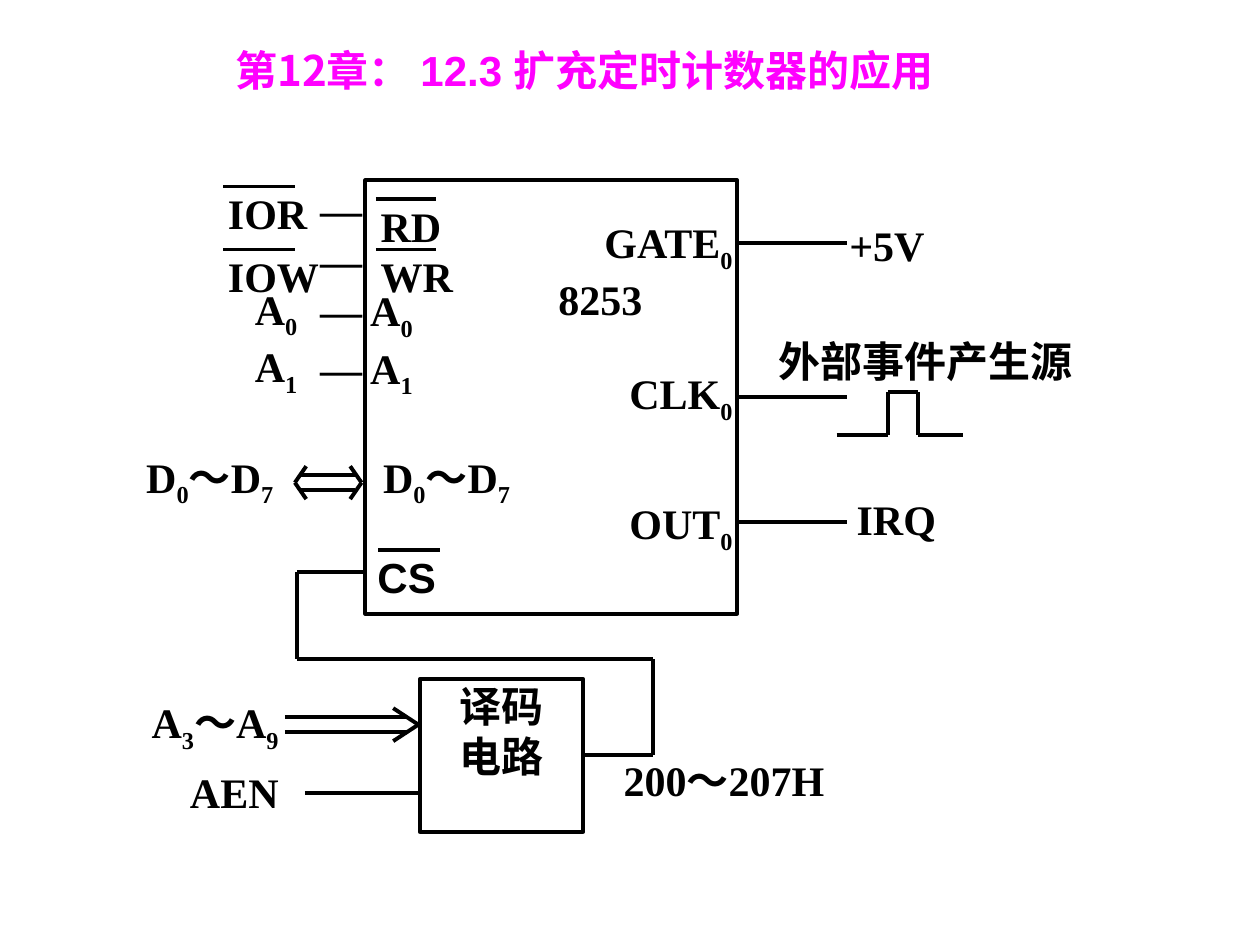
from dataclasses import dataclass
from itertools import pairwise

from lxml import etree
from pptx import Presentation
from pptx.dml.color import RGBColor
from pptx.enum.shapes import MSO_CONNECTOR, MSO_SHAPE
from pptx.enum.text import MSO_ANCHOR, PP_ALIGN
from pptx.oxml.ns import qn
from pptx.util import Pt

LINE = MSO_CONNECTOR.STRAIGHT
RECT = MSO_SHAPE.RECTANGLE
TOP, MIDDLE = MSO_ANCHOR.TOP, MSO_ANCHOR.MIDDLE
LEFT, CENTER, RIGHT = PP_ALIGN.LEFT, PP_ALIGN.CENTER, PP_ALIGN.RIGHT
JUSTIFY = PP_ALIGN.JUSTIFY
LEFT_SIDE, RIGHT_SIDE = 1, 3


@dataclass(frozen=True)
class Theme:
    ink: RGBColor = RGBColor(0, 0, 0)
    title: RGBColor = RGBColor(0xFF, 0, 0xFF)
    serif: str = "Times New Roman"
    sans: str = "Arial"
    cjk: str = "Noto Sans CJK JP"
    size: float = 24
    line: float = 2.25
    inset: float = 0.72
    row: float = 36


T = Theme()


def add_run(para, text, font, color, sub=False):
    run = para.add_run()
    run.text = text
    run.font.size, run.font.bold = Pt(T.size), True
    run.font.name = font
    run.font.color.rgb = color
    props = run._r.get_or_add_rPr()
    etree.SubElement(props, qn("a:ea")).set("typeface", T.cjk)
    if sub:
        props.set("baseline", "-25000")


def fill_text(shape, lines, align, font=T.serif):
    """Write lines; the character after each underscore is a subscript."""
    frame = shape.text_frame
    frame.word_wrap = True
    frame.vertical_anchor = TOP
    frame.margin_left = frame.margin_right = Pt(T.inset)
    frame.margin_top = frame.margin_bottom = Pt(T.inset)
    for i, line in enumerate(lines):
        para = frame.add_paragraph() if i else frame.paragraphs[0]
        para.alignment = align
        first, *rest = line.split("_")
        add_run(para, first, font, T.ink)
        for part in rest:
            add_run(para, part[0], font, T.ink, sub=True)
            if part[1:]:
                add_run(para, part[1:], font, T.ink)


def label(slide, x, y, w, text, align=LEFT, font=T.serif):
    lines = text.split("\n")
    box = slide.shapes.add_textbox(Pt(x), Pt(y), Pt(w), Pt(T.row * len(lines)))
    fill_text(box, lines, align, font)


def draw(slide, *points):
    """Draw straight lines through the points and return the last one."""
    for (x1, y1), (x2, y2) in pairwise(points):
        line = slide.shapes.add_connector(LINE, Pt(x1), Pt(y1), Pt(x2), Pt(y2))
        line.line.color.rgb, line.line.width = T.ink, Pt(T.line)
        etree.SubElement(line._element.spPr, qn("a:effectLst"))
    return line


def block(slide, box):
    rect = slide.shapes.add_shape(RECT, *map(Pt, box))
    rect.shadow.inherit = False
    rect.fill.background()
    rect.line.color.rgb, rect.line.width = T.ink, Pt(T.line)
    return rect


def barred(slide, x, y, text, length, lead=-2, font=T.serif):
    """Place a name of an active-low signal under its overline."""
    label(slide, x, y, 72, text, font=font)
    draw(slide, (x + lead, y), (x + lead + length, y))


def head(slide, x, y, depth):
    """Draw an open arrowhead with its tip at x, y."""
    draw(slide, (x - depth, y - 9.4), (x, y), (x - depth, y + 9.4))


def rails(slide, x1, x2, y):
    for dy in (-4.2, 4.2):
        draw(slide, (x1, y + dy), (x2, y + dy))


def title(slide, box):
    shape = slide.shapes.add_textbox(*map(Pt, box))
    frame = shape.text_frame
    frame.word_wrap = True
    frame.vertical_anchor = MIDDLE
    para = frame.paragraphs[0]
    para.alignment = JUSTIFY
    add_run(para, "第12章： ", T.cjk, T.title)
    add_run(para, "12.3 扩充定时计数器的应用", T.sans, T.title)


def chip(slide, box):
    x, y, w, h = box
    rect = block(slide, box)
    label(slide, x + 81.4, y + 52.6, 105.8, "8253", CENTER)
    for name, dy in (("GATE_0", 20.2), ("CLK_0", 106.6), ("OUT_0", 180.7)):
        label(slide, x + 85, y + dy, 125.5, name, RIGHT)
    label(slide, x - 26.6, y + 1.4, 126.7, "—\n—\n— A_0\n— A_1")
    barred(slide, x + 8, y + 10.8, "RD", 34.5)
    barred(slide, x + 8, y + 39.6, "WR", 34.5)
    label(slide, x + 9.4, y + 154.1, 144.7, "D_0～D_7")
    barred(slide, x + 6.2, y + 211.2, "CS", 35.3, lead=1, font=T.sans)
    return rect


def inputs(slide, box):
    """Place the bus signals on the left of the chip box."""
    x, y, w, h = box
    barred(slide, x - 79.2, y + 3.6, "IOR", 41)
    barred(slide, x - 79.2, y + 39.6, "IOW", 41)
    label(slide, x - 92.9, y + 58.3, 54.7, "A_0\nA_1", RIGHT)
    label(slide, x - 161.3, y + 154.1, 144.7, "D_0～D_7", CENTER)
    mid = y + 172.8
    head(slide, x - 2.2, mid, 6.5)
    head(slide, x - 40.3, mid, -6.5)
    rails(slide, x - 37.5, x - 5.8, mid)


def outputs(slide, box, rect):
    """Place the signals and the pulse on the right of the chip box."""
    x, y, w, h = box
    edge, end = x + w, x + w + 62.6
    for dy in (36, 195.1):
        draw(slide, (edge, y + dy), (end, y + dy))
    clock = draw(slide, (edge, y + h / 2), (end, y + h / 2))
    clock.begin_connect(rect, RIGHT_SIDE)
    label(slide, x + 275.8, y + 21.6, 80.6, "+5V")
    label(slide, x + 224, y + 87.8, 192.2, "外部事件产生源", CENTER)
    label(slide, x + 280, y + 178.6, 96.5, "IRQ")
    low, high = y + 145.4, y + 121
    rise, fall = x + 298.8, x + 315.6
    draw(slide, (x + 269.3, low), (rise, low), (rise, high),
         (fall, high), (fall, low), (x + 341.3, low))


def decoder(slide, box):
    x, y, w, h = box
    rect = block(slide, box)
    fill_text(rect, ["译码", "电路"], CENTER)
    label(slide, x - 191.5, y + 9.4, 111.6, "A_3～A_9", RIGHT)
    label(slide, x - 191.5, y + 49, 111.6, "AEN", RIGHT)
    head(slide, x - 0.7, y + 26, 14.4)
    rails(slide, x - 77, x - 8, y + 26)
    draw(slide, (x - 65.5, y + 64.8), (x, y + 64.8))
    label(slide, x + 101.5, y + 42.5, 144.7, "200～207H", CENTER)
    return rect


def select(slide, chip_box, code_box, rect):
    """Wire the decoder output to the chip select pin."""
    x, y = chip_box[0], chip_box[1] + 223.9
    cx, cy, cw, ch = code_box
    left, right, lane = x - 39.3, cx + cw + 39.6, cy - 11.5
    mid = cy + ch / 2
    last = draw(slide, (x, y), (left, y), (left, lane), (right, lane),
                (right, mid), (cx + cw, mid))
    last.end_connect(rect, RIGHT_SIDE)


def main():
    deck = Presentation()
    deck.slide_width, deck.slide_height = Pt(720), Pt(540)
    slide = deck.slides.add_slide(deck.slide_layouts[6])
    chip_box = (208.8, 103, 212.4, 247.7)
    code_box = (239.8, 388.1, 93.6, 87.1)
    title(slide, (127.4, 20.2, 459.4, 39.6))
    timer = chip(slide, chip_box)
    inputs(slide, chip_box)
    outputs(slide, chip_box, timer)
    logic = decoder(slide, code_box)
    select(slide, chip_box, code_box, logic)
    deck.save("out.pptx")


if __name__ == "__main__":
    main()
